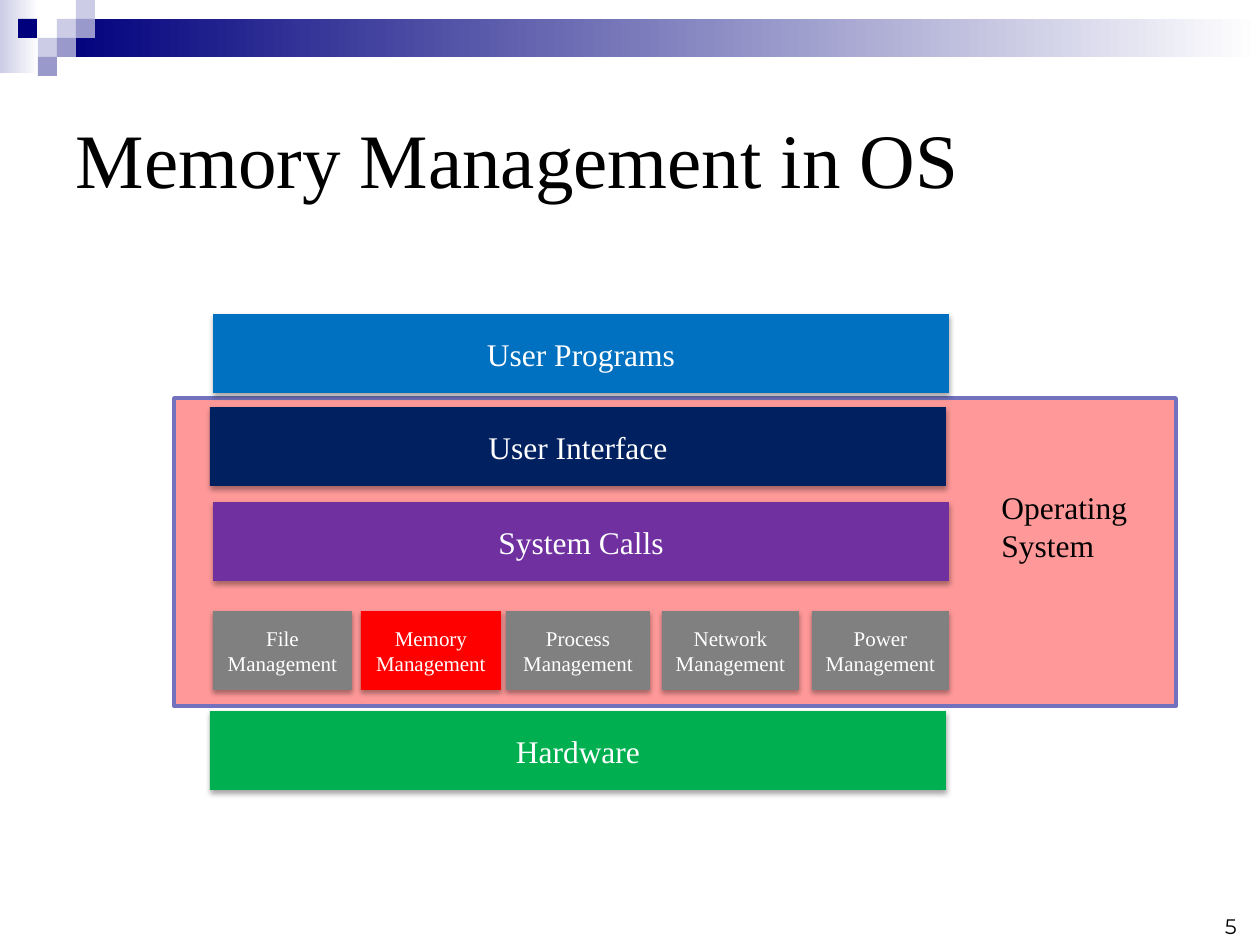
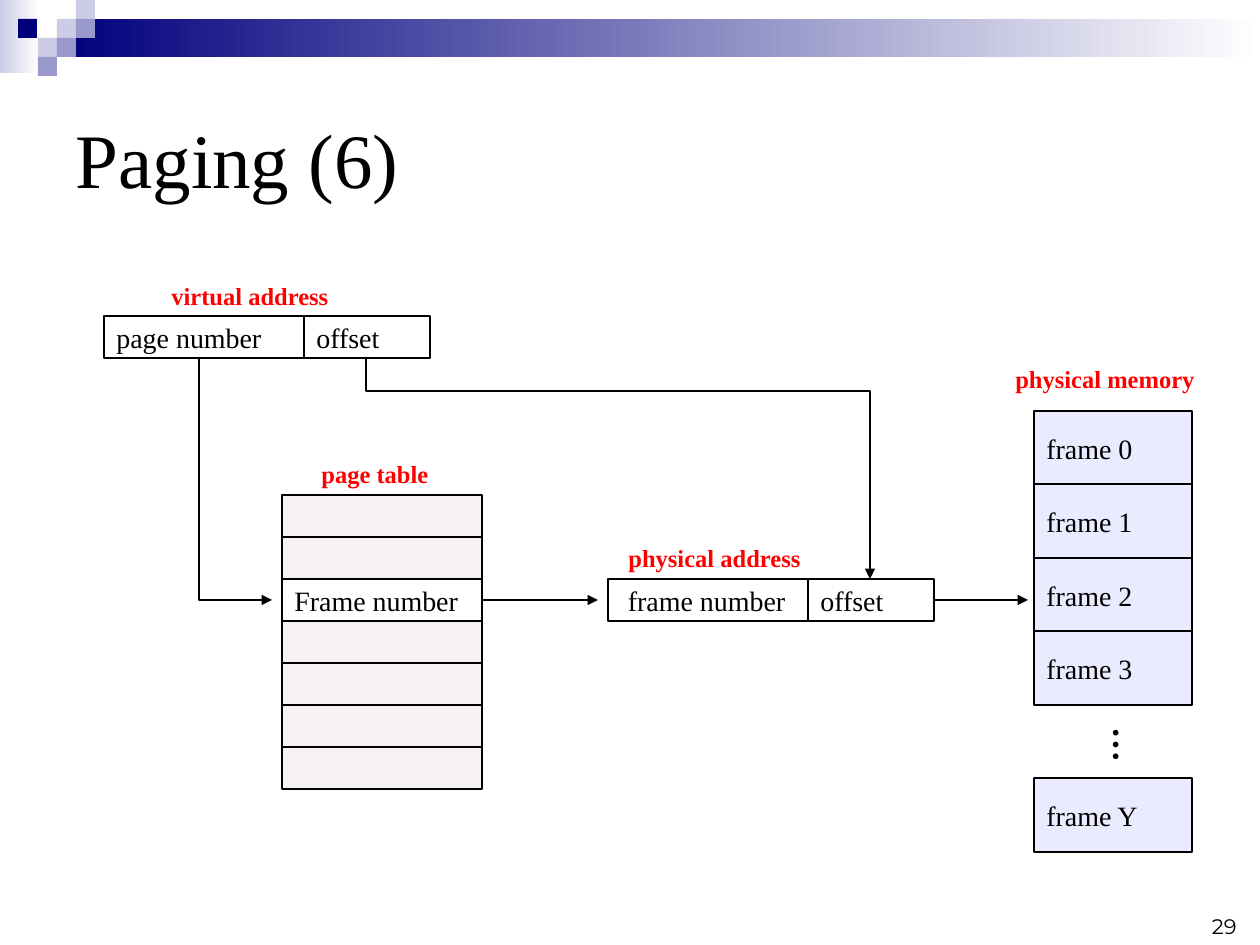
from lxml import etree
from pptx import Presentation
from pptx.dml.color import RGBColor
from pptx.enum.shapes import MSO_CONNECTOR, MSO_SHAPE
from pptx.enum.text import MSO_ANCHOR, PP_ALIGN
from pptx.oxml.ns import qn
from pptx.util import Pt

RECT = MSO_SHAPE.RECTANGLE
STRAIGHT = MSO_CONNECTOR.STRAIGHT
LEFT, CENTER, RIGHT = PP_ALIGN.LEFT, PP_ALIGN.CENTER, PP_ALIGN.RIGHT
TOP, MIDDLE, BOTTOM = MSO_ANCHOR.TOP, MSO_ANCHOR.MIDDLE, MSO_ANCHOR.BOTTOM
RIGHT_SIDE = 3

SERIF, SANS = "Times New Roman", "Montserrat"
BLACK, WHITE, RED, GRAY = "000000", "FFFFFF", "FF0000", "808080"
NAVY, LILAC, VIOLET = "00007D", "CCCCE6", "9999CC"
FRAME_FILL, TABLE_FILL = "EBEBFF", "F6F2F2"

BAND_CELLS = [
    (57, 19, LILAC), (76, 0, LILAC), (76, 19, VIOLET), (38, 38, LILAC),
    (18, 19, NAVY), (57, 38, VIOLET), (38, 57, VIOLET),
]


def px(n):
    return round(n * 914400 / 126)


def rgb(value):
    return RGBColor.from_string(value)


class Deck:
    label_style = {"size": 14, "bold": True, "color": RED}
    cell_style = {"size": 16}

    def __init__(self):
        self.prs = Presentation()
        self.prs.slide_width = px(1260)
        self.prs.slide_height = px(945)
        self.s = None

    def slide(self, title, number):
        self.s = self.prs.slides.add_slide(self.prs.slide_layouts[5])
        self.rect(0, 0, 39, 73, fill=(LILAC, WHITE))
        self.rect(57, 19, 1203, 38, fill=(NAVY, WHITE))
        for x, y, color in BAND_CELLS:
            self.rect(x, y, 19, 19, fill=color)
        sp = self.s.shapes.title
        box = {"left": 63, "top": 63, "width": 1134, "height": 189}
        for name, value in box.items():
            setattr(sp, name, px(value))
        self.put_text(sp, title, size=44, anchor=MIDDLE)
        self.text(955, 882, 294, 63, str(number), size=12, font=SANS,
                  align=RIGHT, anchor=BOTTOM)

    def put_text(self, sp, text, size=18, color=BLACK, font=SERIF, bold=False,
                 align=LEFT, anchor=TOP, indent=None):
        tf = sp.text_frame
        tf.word_wrap = True
        tf.vertical_anchor = anchor
        if indent:
            tf.margin_left = px(indent)
        style = {"name": font, "size": Pt(size), "bold": bold}
        for i, line in enumerate(text.split("\n")):
            p = tf.add_paragraph() if i else tf.paragraphs[0]
            p.alignment = align
            r = p.add_run()
            r.text = line
            for name, value in style.items():
                setattr(r.font, name, value)
            r.font.color.rgb = rgb(color)

    def text(self, x, y, w, h, text, rotation=0, **style):
        sp = self.s.shapes.add_textbox(px(x), px(y), px(w), px(h))
        sp.rotation = rotation
        self.put_text(sp, text, **style)

    def paint(self, sp, fill=None, line=None, width=1):
        sp.shadow.inherit = False
        if fill is None:
            sp.fill.background()
        elif isinstance(fill, tuple):
            sp.fill.gradient()
            sp.fill.gradient_angle = 0
            for stop, color in zip(sp.fill.gradient_stops, fill):
                stop.color.rgb = rgb(color)
        else:
            sp.fill.solid()
            sp.fill.fore_color.rgb = rgb(fill)
        if line:
            sp.line.color.rgb = rgb(line)
            sp.line.width = Pt(width)
        else:
            sp.line.fill.background()

    def rect(self, x, y, w, h, text="", fill=None, line=None, width=1, **style):
        sp = self.s.shapes.add_shape(RECT, px(x), px(y), px(w), px(h))
        self.paint(sp, fill, line, width)
        if text:
            self.put_text(sp, text, anchor=MIDDLE, **style)
        return sp

    def block(self, x, y, w, text, fill, size=18):
        sp = self.rect(x, y, w, 79, text, fill, size=size, color=WHITE,
                       align=CENTER)
        effects = sp.element.find(".//" + qn("a:effectLst"))
        shadow = etree.SubElement(effects, qn("a:outerShdw"), blurRad="39370",
                                  dist="22860", dir="5400000", rotWithShape="0")
        color = etree.SubElement(shadow, qn("a:srgbClr"), val=BLACK)
        etree.SubElement(color, qn("a:alpha"), val="35000")

    def cell(self, x, y, w, h, text="", fill=None, indent=None):
        return self.rect(x, y, w, h, text, fill, BLACK, indent=indent,
                         **self.cell_style)

    def label(self, x, y, w, text):
        self.text(x, y, w, 42, text, **self.label_style)

    def address(self, x, y, text, indent=None):
        self.cell(x, y, 200, 42, text, indent=indent)
        return self.cell(x + 200, y, 126, 42, "offset")

    def arrowhead(self, sp):
        ln = sp.element.find(".//" + qn("a:ln"))
        etree.SubElement(ln, qn("a:tailEnd"), type="triangle")

    def arrow(self, start, x, y):
        c = self.s.shapes.add_connector(STRAIGHT, px(x), px(y), px(x), px(y))
        c.begin_connect(start, RIGHT_SIDE)
        c.line.color.rgb = rgb(BLACK)
        c.line.width = Pt(1)
        self.arrowhead(c)
        etree.SubElement(c.element.spPr, qn("a:effectLst"))

    def route(self, *points):
        (x, y), *rest = [(px(a), px(b)) for a, b in points]
        builder = self.s.shapes.build_freeform(x, y)
        builder.add_line_segments(rest, close=False)
        sp = builder.convert_to_shape()
        self.paint(sp, line=BLACK)
        self.arrowhead(sp)


def memory_management(d):
    d.slide("Memory Management in OS", 5)
    d.rect(174, 398, 1002, 308, fill="FF9999", line="7171BD", width=2)
    layers = [
        (213, 314, "User Programs", "0070C0"),
        (210, 407, "User Interface", "002060"),
        (213, 502, "System Calls", "7030A0"),
        (210, 711, "Hardware", "00B050"),
    ]
    for x, y, name, color in layers:
        d.block(x, y, 736, name, color)
    modules = [
        (213, 139, "File Management", GRAY),
        (361, 140, "Memory\nManagement", RED),
        (506, 144, "Process\nManagement", GRAY),
        (662, 137, "Network\nManagement", GRAY),
        (812, 137, "Power\nManagement", GRAY),
    ]
    for x, w, name, color in modules:
        d.block(x, 611, w, name, color, size=12)
    d.text(989, 482, 160, 89, "Operating\nSystem")


def paging(d):
    d.slide("Paging (6)", 29)
    frames = {0: "frame 0", 1: "frame 1", 2: "frame 2", 3: "frame 3",
              5: "frame Y"}
    for i, name in frames.items():
        d.cell(1034, 411 + 147 * i // 2, 158, 74, name, FRAME_FILL)
    d.text(1074, 718, 60, 54, "…", rotation=270, size=20, bold=True)

    d.address(104, 316, "page number")
    physical_offset = d.address(608, 579, "frame number", indent=20)
    rows = []
    for i in range(7):
        text, fill = ("Frame number", WHITE) if i == 2 else ("", TABLE_FILL)
        rows.append(d.cell(282, 495 + 42 * i, 200, 42, text, fill))

    d.label(159, 275, 199, "virtual address")
    d.label(309, 453, 146, "page table")
    d.label(616, 537, 223, "physical address")
    d.label(1003, 358, 226, "physical memory")

    d.route((199, 358), (199, 600), (272, 600))
    d.route((366, 358), (366, 391), (870, 391), (870, 579))
    d.arrow(rows[2], 598, 600)
    d.arrow(physical_offset, 1028, 600)


def main():
    d = Deck()
    memory_management(d)
    paging(d)
    d.prs.save("out.pptx")


if __name__ == "__main__":
    main()
